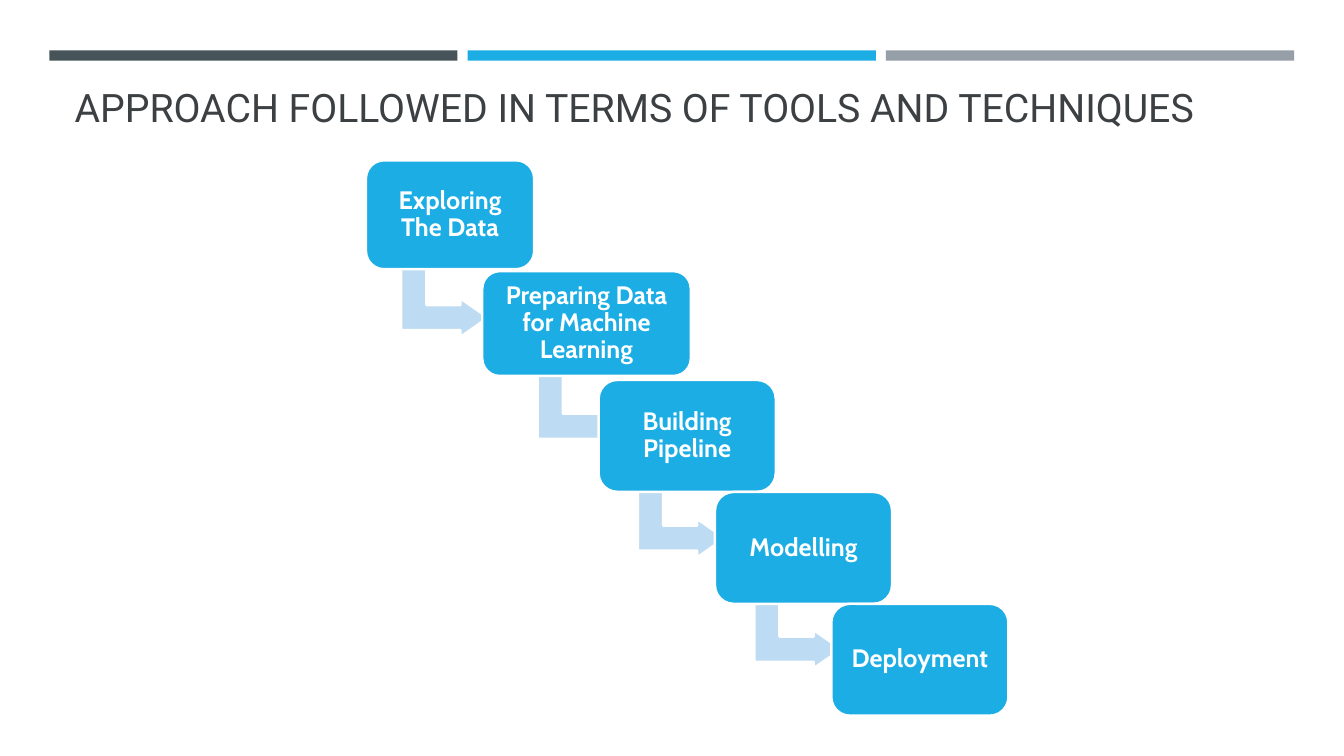
from pptx import Presentation
from pptx.dml.color import RGBColor
from pptx.enum.shapes import MSO_SHAPE as Preset
from pptx.enum.text import MSO_ANCHOR as Anchor, MSO_AUTO_SIZE as AutoSize, PP_ALIGN as Align
from pptx.util import Pt

SLATE = RGBColor(0x46, 0x53, 0x59)
BLUE = RGBColor(0x1C, 0xAD, 0xE4)
GREY = RGBColor(0x96, 0x9F, 0xA7)
PALE_BLUE = RGBColor(0xBD, 0xDB, 0xF2)
INK = RGBColor(0x3C, 0x40, 0x43)
WHITE = RGBColor(0xFF, 0xFF, 0xFF)

STEP_SHIFT = 83.1
ARROW_WIDTH, ARROW_HEIGHT = 54.7, 61.9
STEPS = [
    ("Exploring The Data", 114.5, 120.2, 77.8, (28.8, -10)),
    ("Preparing Data for Machine Learning", 193.7, 149, 74.9, (43.2, -8.7)),
    ("Building Pipeline", 271.4, 126.5, 79.9, (31.7, -11.5)),
    ("Modelling", 351.4, 126.5, 79.9, (31.7, -12.2)),
    ("Deployment", 431.3, 126.5, 79.9, None),
]


def add_filled(slide, preset, left, top, width, height, colour):
    shape = slide.shapes.add_shape(preset, Pt(left), Pt(top), Pt(width), Pt(height))
    shape.shadow.inherit = False
    shape.fill.solid()
    shape.fill.fore_color.rgb = colour
    shape.line.fill.background()
    return shape


def outline_white(shape):
    shape.line.color.rgb = WHITE
    shape.line.width = Pt(1.75)


def add_header_bars(slide, left, top, width, height):
    gap = 7.2
    bar_width = (width - 2 * gap) / 3
    for column, colour in enumerate((SLATE, BLUE, GREY)):
        bar_left = left + column * (bar_width + gap)
        add_filled(slide, Preset.RECTANGLE, bar_left, top, bar_width, height, colour)


def add_title(slide, left, top, width, height):
    title = slide.shapes.title
    title.left, title.top, title.width, title.height = Pt(left), Pt(top), Pt(width), Pt(height)
    frame = title.text_frame
    frame.text = "APPROACH FOLLOWED IN TERMS OF TOOLS AND TECHNIQUES"
    frame.word_wrap = True
    frame.auto_size = AutoSize.NONE
    frame.vertical_anchor = Anchor.BOTTOM
    frame.margin_bottom = Pt(36.4)
    heading = frame.paragraphs[0]
    heading.alignment = Align.LEFT
    heading.font.name = "Roboto"
    heading.font.size = Pt(28)
    heading.font.color.rgb = INK


def add_arrow(slide, left, top):
    arrow = add_filled(slide, Preset.BENT_UP_ARROW, left, top,
                       ARROW_WIDTH, ARROW_HEIGHT, PALE_BLUE)
    arrow.rotation = 90
    for index, ratio in enumerate((0.328, 0.25, 0.358)):
        arrow.adjustments[index] = ratio
    outline_white(arrow)


def add_step(slide, left, top, width, height, label):
    step = add_filled(slide, Preset.ROUNDED_RECTANGLE, left, top, width, height, BLUE)
    step.adjustments[0] = 0.167
    outline_white(step)
    frame = step.text_frame
    frame.text = label
    frame.word_wrap = True
    frame.vertical_anchor = Anchor.MIDDLE
    frame.margin_left = frame.margin_right = frame.margin_top = frame.margin_bottom = Pt(5)
    caption = frame.paragraphs[0]
    caption.alignment = Align.CENTER
    caption.line_spacing = 0.9
    caption.font.name = "Cabin"
    caption.font.size = Pt(18)
    caption.font.bold = True
    caption.font.color.rgb = WHITE


def add_staircase(slide, left):
    for index, (label, top, width, height, arrow_offset) in enumerate(STEPS):
        step_left = left + index * STEP_SHIFT
        if arrow_offset:
            across, down = arrow_offset
            add_arrow(slide, step_left + across, top + height + down)
        add_step(slide, step_left, top, width, height, label)


def main():
    deck = Presentation()
    deck.slide_width, deck.slide_height = Pt(960), Pt(540)
    slide = deck.slides.add_slide(deck.slide_layouts[5])
    add_header_bars(slide, 35.2, 36, 889.2, 7.4)
    add_title(slide, 46.1, 36, 868.3, 93.6)
    add_staircase(slide, 261.4)
    deck.save("out.pptx")


if __name__ == "__main__":
    main()
